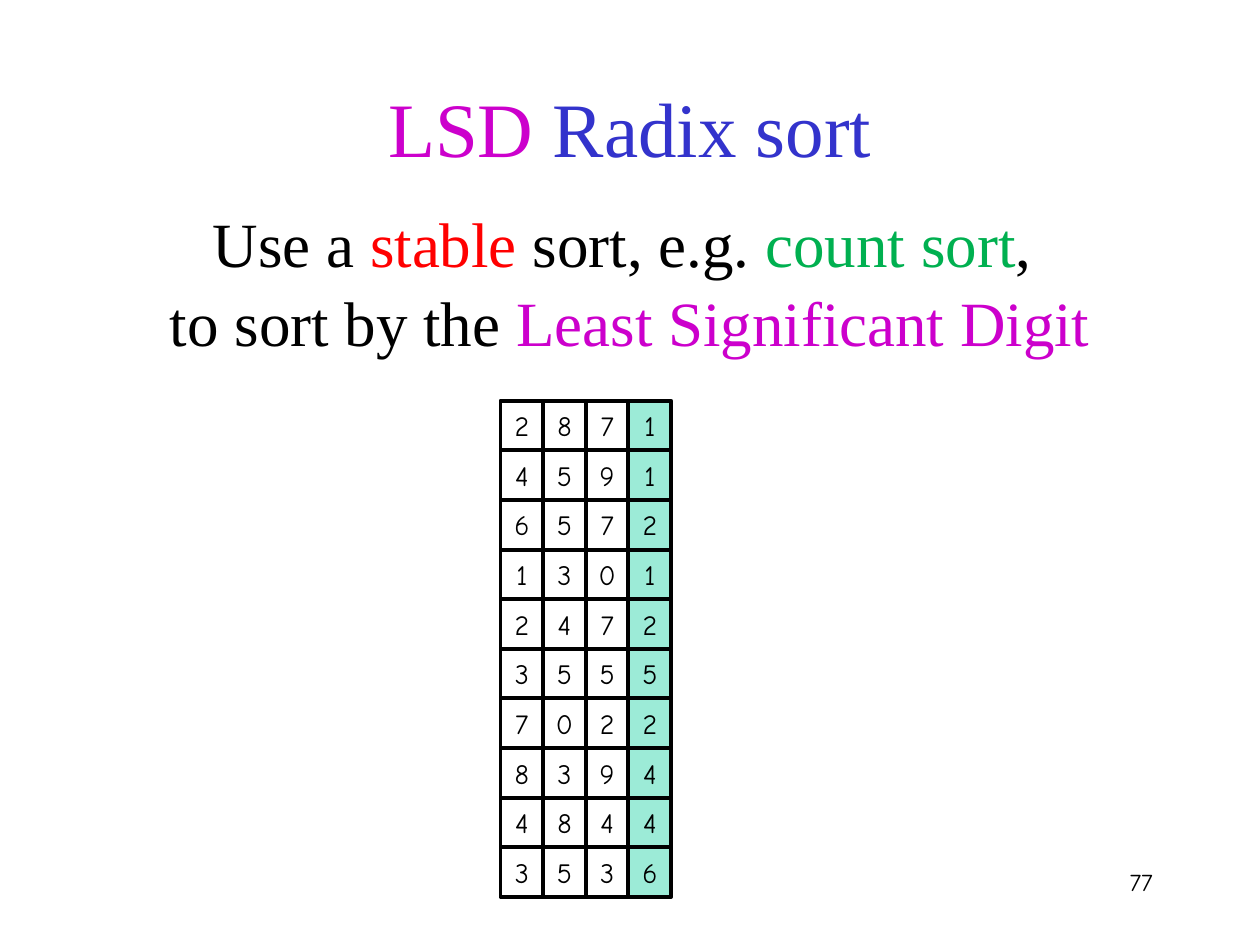
import pptx
import pptx.dml.color
import pptx.enum.shapes
import pptx.enum.text
import pptx.oxml.ns
import pptx.util
from lxml import etree
from pptx.util import Cm

COLORS = {
    "black": "000000",
    "red": "FF0000",
    "green": "00B050",
    "magenta": "CC00CC",
    "blue": "3333CC",
    "mint": "00CC99",
}
SERIF = "Times New Roman"
HAND = "Comic Neue"

TITLE = [[("LSD ", "magenta"), ("Radix sort", "blue")]]
EXPLANATION = [
    [("Use a ", "black"), ("stable", "red"), (" sort, e.g. ", "black"),
     ("count sort", "green"), (", ", "black")],
    [("to sort by the ", "black"), ("Least Significant Digit", "magenta")],
]
PAGE_NUMBER = "77"
NUMBERS = ["2871", "4591", "6572", "1301", "2472",
           "3555", "7022", "8394", "4844", "3536"]

GRID_LEFT, GRID_TOP = 10.09, 8.08
CELL_WIDTH, CELL_HEIGHT = 0.86, 1.0
MINT_OPACITY = 39


def color(name):
    return pptx.dml.color.RGBColor.from_string(COLORS[name])


def write_text(shape, lines, *, size, font, align="CENTER", anchor="TOP",
               wrap=True, line_spacing=None):
    """Write a string, or lines of (text, colour) runs, as one paragraph."""
    if isinstance(lines, str):
        lines = [[(lines, "black")]]
    frame = shape.text_frame
    frame.word_wrap = wrap
    frame.vertical_anchor = getattr(pptx.enum.text.MSO_ANCHOR, anchor)
    paragraph = frame.paragraphs[0]
    paragraph.alignment = getattr(pptx.enum.text.PP_ALIGN, align)
    if line_spacing:
        paragraph.line_spacing = line_spacing
    for index, line in enumerate(lines):
        if index:
            paragraph.add_line_break()
        for text, color_name in line:
            run = paragraph.add_run()
            run.text = text
            run.font.size = pptx.util.Pt(size)
            run.font.name = font
            run.font.color.rgb = color(color_name)


def add_text_box(slide, left, top, width, height, lines, **text_format):
    box = slide.shapes.add_textbox(Cm(left), Cm(top), Cm(width), Cm(height))
    write_text(box, lines, **text_format)


def fill_translucent(shape, name, opacity):
    shape.fill.solid()
    shape.fill.fore_color.rgb = color(name)
    tag = pptx.oxml.ns.qn("a:srgbClr")
    for element in shape.fill._xPr.iter(tag):
        alpha = etree.SubElement(element, pptx.oxml.ns.qn("a:alpha"))
        alpha.set("val", str(opacity * 1000))
        break


def add_digit_cell(slide, row, column, digit, highlighted):
    cell = slide.shapes.add_shape(
        pptx.enum.shapes.MSO_SHAPE.RECTANGLE,
        Cm(GRID_LEFT + column * CELL_WIDTH), Cm(GRID_TOP + row * CELL_HEIGHT),
        Cm(CELL_WIDTH), Cm(CELL_HEIGHT))
    cell.shadow.inherit = False
    cell.line.color.rgb = color("black")
    cell.line.width = pptx.util.Pt(2.25)
    if highlighted:
        fill_translucent(cell, "mint", MINT_OPACITY)
    else:
        cell.fill.background()
    write_text(cell, digit, size=16, font=HAND, anchor="MIDDLE", wrap=False)


def main():
    presentation = pptx.Presentation()
    presentation.slide_width, presentation.slide_height = Cm(25.4), Cm(19.05)
    slide = presentation.slides.add_slide(presentation.slide_layouts[6])

    add_text_box(slide, 0, 3.94, 25.4, 3.33, EXPLANATION,
                 size=36, font=SERIF, line_spacing=1.04)
    add_text_box(slide, 18.21, 17.35, 5.28, 1.27, PAGE_NUMBER,
                 size=14, font=HAND, align="RIGHT")
    for row, number in enumerate(NUMBERS):
        for column, digit in enumerate(number):
            add_digit_cell(slide, row, column, digit,
                           highlighted=column == len(number) - 1)
    add_text_box(slide, 0, 1.5, 25.4, 2.13, TITLE,
                 size=44, font=SERIF, anchor="MIDDLE")

    presentation.save("out.pptx")


if __name__ == "__main__":
    main()
